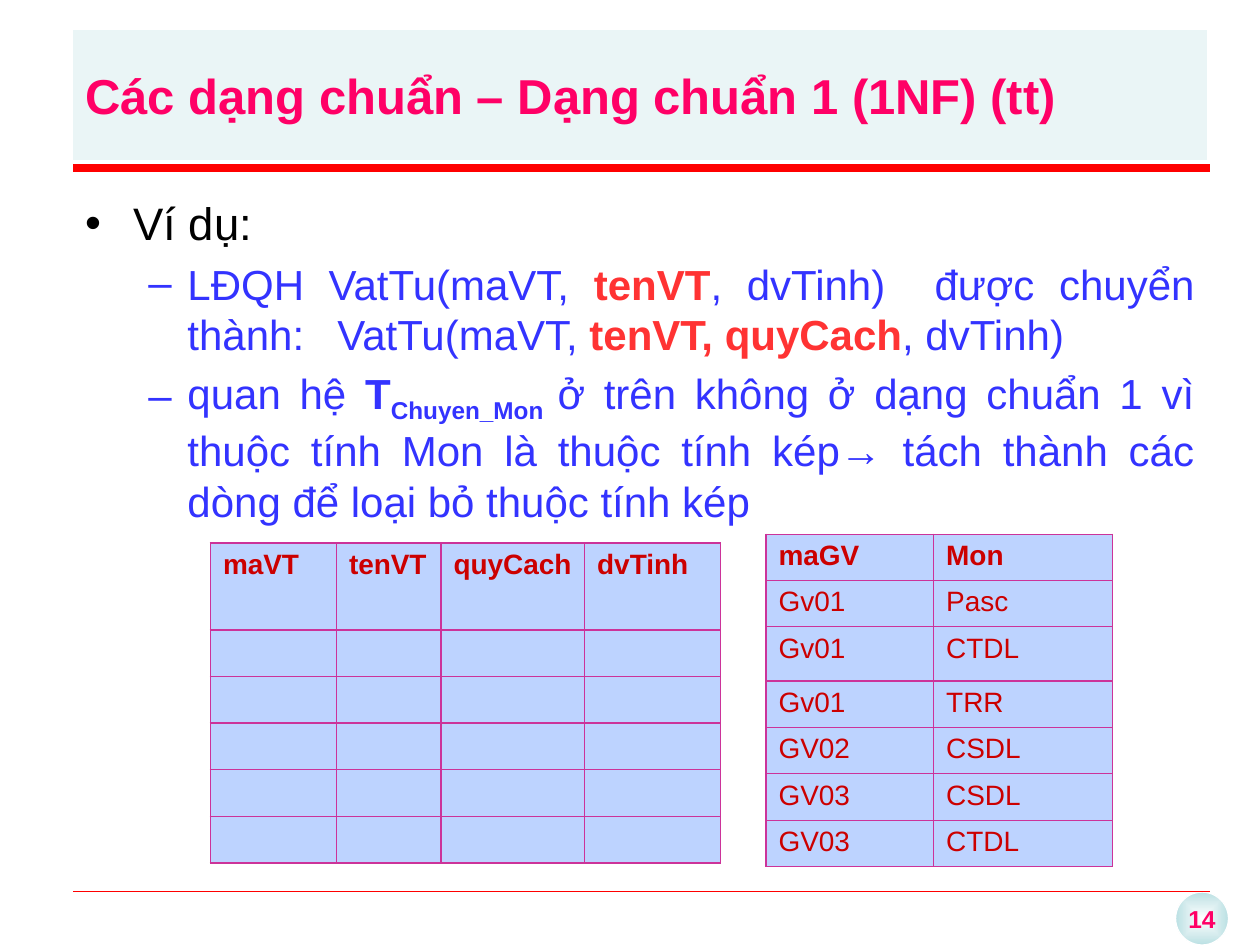
from lxml.etree import SubElement
from pptx import Presentation
from pptx.dml.color import RGBColor as Rgb
from pptx.enum.shapes import MSO_CONNECTOR as Connector, MSO_SHAPE as Shape
from pptx.enum.text import MSO_ANCHOR as Anchor, PP_ALIGN as Align
from pptx.oxml import parse_xml
from pptx.oxml.ns import nsdecls, qn
from pptx.util import Emu, Inches, Pt

COLORS = {
    "pink": "FF0066", "mint": "BBE0E3", "rule": "FF0000", "white": "FFFFFF",
    "black": "000000", "blue": "3333FF", "red": "FF3333",
    "cell": "BDD3FF", "cell_text": "CC0000", "border": "CC3399",
}
FONT = "Arial"
LEFT, WIDTH = 0.58, 9
BULLETS = [
    ("•", 26, 0.38, 0.38, [("Ví dụ:", "black", False, 0)]),
    ("–", 24, 0.81, 0.31, [
        ("LĐQH VatTu(maVT, ", "blue", False, 0),
        ("tenVT", "red", True, 0),
        (", dvTinh)  được chuyển thành:\tVatTu(maVT, ", "blue", False, 0),
        ("tenVT, quyCach", "red", True, 0),
        (", dvTinh)", "blue", False, 0),
    ]),
    ("–", 24, 0.81, 0.31, [
        ("quan hệ ", "blue", False, 0),
        ("T", "blue", True, 0),
        ("Chuyen_Mon ", "blue", True, -25),
        ("ở trên không ở dạng chuẩn 1 vì thuộc tính Mon là thuộc tính kép→ "
         "tách thành các dòng để loại bỏ thuộc tính kép", "blue", False, 0),
    ]),
]
SUBJECTS = [
    ("maGV", "Mon"), ("Gv01", "Pasc"), ("Gv01", "CTDL"), ("Gv01", "TRR"),
    ("GV02", "CSDL"), ("GV03", "CSDL"), ("GV03", "CTDL"),
]
MATERIALS = [("maVT", "tenVT", "quyCach", "dvTinh")] + [("",) * 4] * 5


def color(name):
    return Rgb.from_string(COLORS[name])


def style(span, size, name, bold=False, baseline=0):
    font = span.font
    font.name, font.size, font.bold = FONT, Pt(size), bold
    font.color.rgb = color(name)
    if baseline:
        font._element.set("baseline", str(baseline * 1000))


def add_rule(page, top, weight):
    rule = page.shapes.add_connector(
        Connector.STRAIGHT, Inches(LEFT), Inches(top), Inches(9.6), Inches(top))
    rule.line.color.rgb = color("rule")
    rule.line.width = Pt(weight)
    SubElement(rule._element.spPr, qn("a:effectLst"))


def add_page_number(page, number):
    disc = page.shapes.add_shape(
        Shape.OVAL, Inches(9.33), Inches(7.08), Inches(0.42), Inches(0.42))
    disc.shadow.inherit = False
    stops = "".join(
        f'<a:gs pos="{place}"><a:srgbClr val="{COLORS[name]}"/></a:gs>'
        for place, name in ((0, "white"), (100000, "mint")))
    disc._element.spPr.insert(2, parse_xml(
        f'<a:gradFill {nsdecls("a")}><a:gsLst>{stops}</a:gsLst><a:path path="shape">'
        '<a:fillToRect l="50000" t="50000" r="50000" b="50000"/></a:path></a:gradFill>'))
    disc.line.color.rgb = color("white")
    disc.line.width = Pt(0.75)
    frame = disc.text_frame
    frame.text = number
    frame.word_wrap = False
    frame.vertical_anchor = Anchor.MIDDLE
    frame.paragraphs[0].alignment = Align.CENTER
    style(frame.paragraphs[0].runs[0], 14, "pink", True)


def add_title(page, text):
    box = page.shapes.add_textbox(
        Inches(LEFT), Inches(0.24), Inches(WIDTH), Inches(1.03))
    box.fill.solid()
    box.fill.fore_color.rgb = color("mint")
    tint = box._element.spPr.find(".//" + qn("a:srgbClr"))
    SubElement(tint, qn("a:alpha"), val="30000")
    frame = box.text_frame
    frame.text = text
    frame.word_wrap = True
    frame.vertical_anchor = Anchor.MIDDLE
    style(frame.paragraphs[0].runs[0], 28, "pink", True)


def add_bullets(page, bullets):
    box = page.shapes.add_textbox(
        Inches(LEFT), Inches(1.5), Inches(WIDTH), Inches(5.42))
    box.fill.solid()
    box.fill.fore_color.rgb = color("white")
    frame = box.text_frame
    frame.word_wrap = True
    for index, (mark, size, margin, hang, spans) in enumerate(bullets):
        para = frame.add_paragraph() if index else frame.paragraphs[0]
        para.alignment = Align.JUSTIFY
        para.space_before = Pt(size * 0.2)
        layout = para._p.get_or_add_pPr()
        layout.set("marL", str(Inches(margin)))
        layout.set("indent", str(-Inches(hang)))
        SubElement(layout, qn("a:buFont"), typeface=FONT)
        SubElement(layout, qn("a:buChar"), char=mark)
        for text, name, bold, baseline in spans:
            span = para.add_run()
            span.text = text
            style(span, size, name, bold, baseline)


def set_borders(cell):
    props = cell._tc.get_or_add_tcPr()
    for index, side in enumerate(("lnL", "lnR", "lnT", "lnB")):
        props.insert(index, parse_xml(
            f'<a:{side} {nsdecls("a")} w="{Pt(1)}"><a:solidFill>'
            f'<a:srgbClr val="{COLORS["border"]}"/></a:solidFill></a:{side}>'))


def fill_cell(cell, text, bold):
    cell.text = text
    cell.fill.solid()
    cell.fill.fore_color.rgb = color("cell")
    set_borders(cell)
    para = cell.text_frame.paragraphs[0]
    para.alignment = Align.JUSTIFY
    for span in para.runs:
        style(span, 16, "cell_text", bold)
    if not text:
        SubElement(para._p, qn("a:endParaRPr"), sz="1600")


def add_grid(page, left, top, widths, heights, rows):
    frame = page.shapes.add_table(
        len(heights), len(widths), Inches(left), Inches(top),
        Emu(sum(map(Inches, widths))), Emu(sum(map(Inches, heights))))
    table = frame.table
    for column, width in zip(table.columns, widths):
        column.width = Inches(width)
    for index, (height, texts) in enumerate(zip(heights, rows)):
        table.rows[index].height = Inches(height)
        for cell, text in zip(table.rows[index].cells, texts):
            fill_cell(cell, text, index == 0)


def main():
    deck = Presentation()
    deck.slide_width, deck.slide_height = Inches(10), Inches(7.5)
    page = deck.slides.add_slide(deck.slide_layouts[6])
    add_page_number(page, "14")
    add_rule(page, 7.07, 0.25)
    add_rule(page, 1.33, 4.5)
    add_title(page, "Các dạng chuẩn – Dạng chuẩn 1 (1NF) (tt)")
    add_bullets(page, BULLETS)
    add_grid(page, 6.08, 4.24, [1.33, 1.42],
             [0.3, 0.3, 0.43, 0.37, 0.3, 0.37, 0.3], SUBJECTS)
    add_grid(page, 1.67, 4.31, [1, 0.83, 1.14, 1.08],
             [0.69] + [0.37] * 5, MATERIALS)
    deck.save("out.pptx")


if __name__ == "__main__":
    main()
